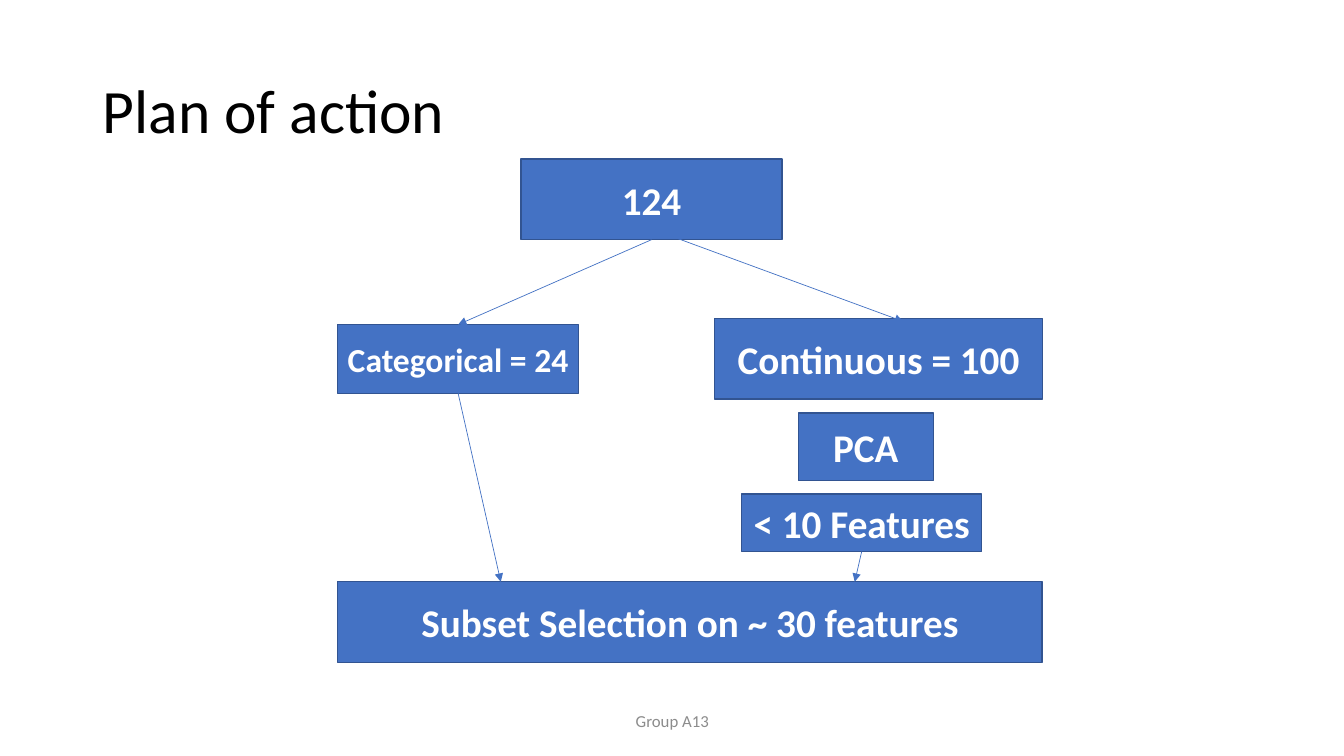
from lxml.etree import SubElement
from pptx import Presentation
from pptx.dml.color import RGBColor
from pptx.enum.shapes import MSO_CONNECTOR as Connector, MSO_SHAPE as Shape
from pptx.enum.text import MSO_ANCHOR as Anchor, PP_ALIGN as Align
from pptx.oxml.ns import qn
from pptx.util import Cm, Pt

BLACK = RGBColor(0x00, 0x00, 0x00)
WHITE = RGBColor(0xFF, 0xFF, 0xFF)
GREY = RGBColor(0x8C, 0x8C, 0x8C)
BLUE = RGBColor(0x44, 0x72, 0xC4)
DARK_BLUE = RGBColor(0x32, 0x54, 0x91)
TOP, BOTTOM = 0, 2


class FlowSlide:
    """Holds the style and the slide; positions and sizes are in centimetres."""

    font_name = "Calibri"

    def __init__(self, slide):
        self.slide = slide

    def set_text(self, shape, text, size, color, align, bold=False):
        frame = shape.text_frame
        frame.text = text
        frame.word_wrap = True
        frame.vertical_anchor = Anchor.MIDDLE
        paragraph = frame.paragraphs[0]
        paragraph.alignment = align
        font = paragraph.runs[0].font
        font.name = self.font_name
        font.size = Pt(size)
        font.bold = bold
        font.color.rgb = color
        return paragraph

    def label(self, text, left, top, width, height, size, color, align):
        box = self.slide.shapes.add_textbox(Cm(left), Cm(top), Cm(width), Cm(height))
        return self.set_text(box, text, size, color, align)

    def box(self, text, left, top, width, height, size=28):
        shape = self.slide.shapes.add_shape(
            Shape.RECTANGLE, Cm(left), Cm(top), Cm(width), Cm(height))
        shape.shadow.inherit = False
        shape.fill.solid()
        shape.fill.fore_color.rgb = BLUE
        shape.line.color.rgb = DARK_BLUE
        shape.line.width = Pt(1)
        shape.text_frame.margin_left = shape.text_frame.margin_right = Cm(0.1)
        self.set_text(shape, text, size, WHITE, Align.CENTER, bold=True)
        return shape

    def arrow(self, start, end):
        """Draw an arrow; each end is an (x, y) point or a (shape, side) pair."""
        points = [(0, 0) if hasattr(place[0], "text_frame") else place
                  for place in (start, end)]
        (x1, y1), (x2, y2) = points
        connector = self.slide.shapes.add_connector(
            Connector.STRAIGHT, Cm(x1), Cm(y1), Cm(x2), Cm(y2))
        for place, connect in ((start, connector.begin_connect),
                               (end, connector.end_connect)):
            if hasattr(place[0], "text_frame"):
                connect(*place)
        connector.line.color.rgb = BLUE
        connector.line.width = Pt(0.5)
        properties = connector.element.spPr
        SubElement(properties.find(qn("a:ln")), qn("a:tailEnd"), type="triangle")
        SubElement(properties, qn("a:effectLst"))


def main():
    presentation = Presentation()
    presentation.slide_width = Cm(33.87)
    presentation.slide_height = Cm(19.05)
    flow = FlowSlide(presentation.slides.add_slide(presentation.slide_layouts[6]))

    title = flow.label("Plan of action", 2.34, 1.02, 29.21, 3.68, 44, BLACK, Align.LEFT)
    title.line_spacing = 0.9
    flow.label("Group A13", 11.23, 17.65, 11.43, 1.02, 12, GREY, Align.CENTER)

    total = flow.box("124", 13.13, 4.01, 6.58, 2.03)
    categorical = flow.box("Categorical = 24", 8.51, 8.18, 6.07, 1.73, size=24)
    flow.box("Continuous = 100", 18.01, 8.03, 8.26, 2.03)
    flow.box("PCA", 20.12, 10.41, 3.4, 1.7)
    features = flow.box("< 10 Features", 18.69, 12.45, 6.05, 1.45)
    flow.box("Subset Selection on ~ 30 features", 8.51, 14.66, 17.75, 2.03)

    flow.arrow((total, BOTTOM), (categorical, TOP))
    flow.arrow((14.63, 5.11), (22.76, 8.1))
    flow.arrow((categorical, BOTTOM), (12.62, 14.66))
    flow.arrow((features, BOTTOM), (21.54, 14.66))

    presentation.save("out.pptx")


if __name__ == "__main__":
    main()
